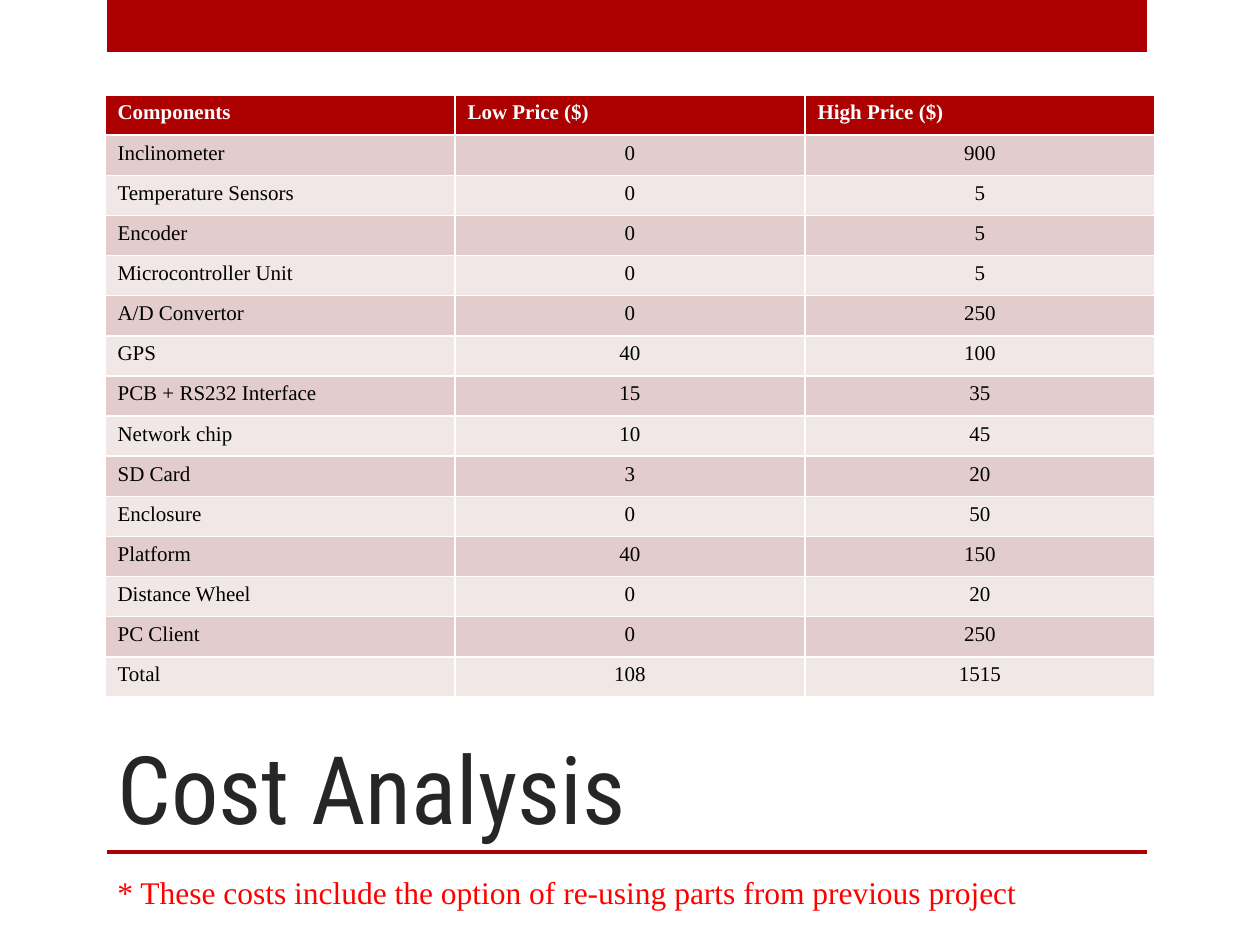
import pptx
import pptx.util
from pptx.dml.color import RGBColor
from pptx.enum.shapes import MSO_SHAPE
from pptx.enum.text import MSO_ANCHOR, PP_ALIGN

PX = 914400 // 126  # EMU in one px

RED = RGBColor(0xAD, 0x01, 0x01)
NOTE_RED = RGBColor(0xFF, 0x00, 0x00)
CHARCOAL = RGBColor(0x26, 0x26, 0x26)
BLACK = RGBColor(0x00, 0x00, 0x00)
WHITE = RGBColor(0xFF, 0xFF, 0xFF)
DARK_BAND = RGBColor(0xE3, 0xCC, 0xCC)
LIGHT_BAND = RGBColor(0xF1, 0xE7, 0xE7)

TITLE_FONT = "Roboto Condensed"
BODY_FONT = "Times New Roman"

HEADINGS = ("Components", "Low Price ($)", "High Price ($)")
COSTS = [
    ("Inclinometer", 0, 900),
    ("Temperature Sensors", 0, 5),
    ("Encoder", 0, 5),
    ("Microcontroller Unit", 0, 5),
    ("A/D Convertor", 0, 250),
    ("GPS", 40, 100),
    ("PCB + RS232 Interface", 15, 35),
    ("Network chip", 10, 45),
    ("SD Card", 3, 20),
    ("Enclosure", 0, 50),
    ("Platform", 40, 150),
    ("Distance Wheel", 0, 20),
    ("PC Client", 0, 250),
    ("Total", 108, 1515),
]


def to_emu(box):
    return [pptx.util.Emu(length * PX) for length in box]


def write(text_frame, text, font_name, size, color, bold=False):
    text_frame.text = text
    font = text_frame.paragraphs[0].runs[0].font
    font.name = font_name
    font.size = pptx.util.Pt(size)
    font.color.rgb = color
    font.bold = bold


def add_bar(slide, box):
    bar = slide.shapes.add_shape(MSO_SHAPE.RECTANGLE, *to_emu(box))
    bar.shadow.inherit = False
    bar.fill.solid()
    bar.fill.fore_color.rgb = RED
    bar.line.fill.background()


def place_title(slide, box):
    title = slide.shapes.title
    title.left, title.top, title.width, title.height = to_emu(box)
    write(title.text_frame, "Cost Analysis", TITLE_FONT, 54, CHARCOAL)
    title.text_frame.vertical_anchor = MSO_ANCHOR.BOTTOM
    title.text_frame.paragraphs[0].alignment = PP_ALIGN.LEFT


def add_cost_table(slide, box):
    rows = [HEADINGS] + COSTS
    # The default table style supplies the white cell borders
    table = slide.shapes.add_table(len(rows), len(HEADINGS), *to_emu(box)).table
    for row_index, row in enumerate(rows):
        is_header = row_index == 0
        band = DARK_BAND if row_index % 2 else LIGHT_BAND
        for column_index, value in enumerate(row):
            cell = table.cell(row_index, column_index)
            cell.fill.solid()
            cell.fill.fore_color.rgb = RED if is_header else band
            write(cell.text_frame, str(value), BODY_FONT, 12,
                  WHITE if is_header else BLACK, is_header)
            if column_index and not is_header:
                cell.text_frame.paragraphs[0].alignment = PP_ALIGN.CENTER


def add_note(slide, box):
    note = slide.shapes.add_textbox(*to_emu(box))
    note.text_frame.word_wrap = True
    write(note.text_frame,
          "* These costs include the option of re-using parts from previous project",
          BODY_FONT, 18, NOTE_RED)


def build_cost_slide(presentation):
    slide = presentation.slides.add_slide(presentation.slide_layouts[5])
    # Top band and rule under the title
    add_bar(slide, (107, 0, 1040, 52))
    add_bar(slide, (107, 850, 1040, 4))
    # Content
    place_title(slide, (105, 630, 935, 220))
    add_cost_table(slide, (105, 95, 1050, 602))
    add_note(slide, (105, 867, 1030, 51))


def main():
    presentation = pptx.Presentation()
    presentation.slide_width, presentation.slide_height = to_emu((1260, 945))
    build_cost_slide(presentation)
    presentation.save("out.pptx")


if __name__ == "__main__":
    main()
